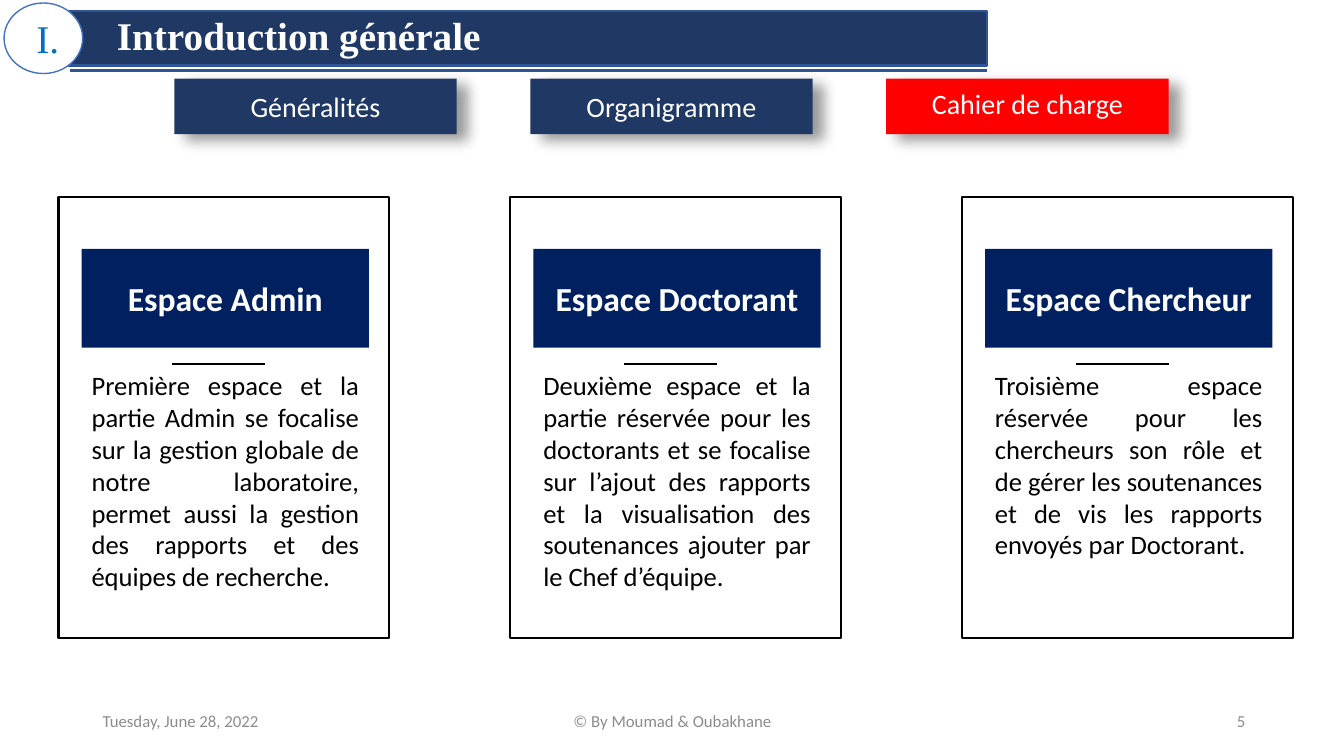
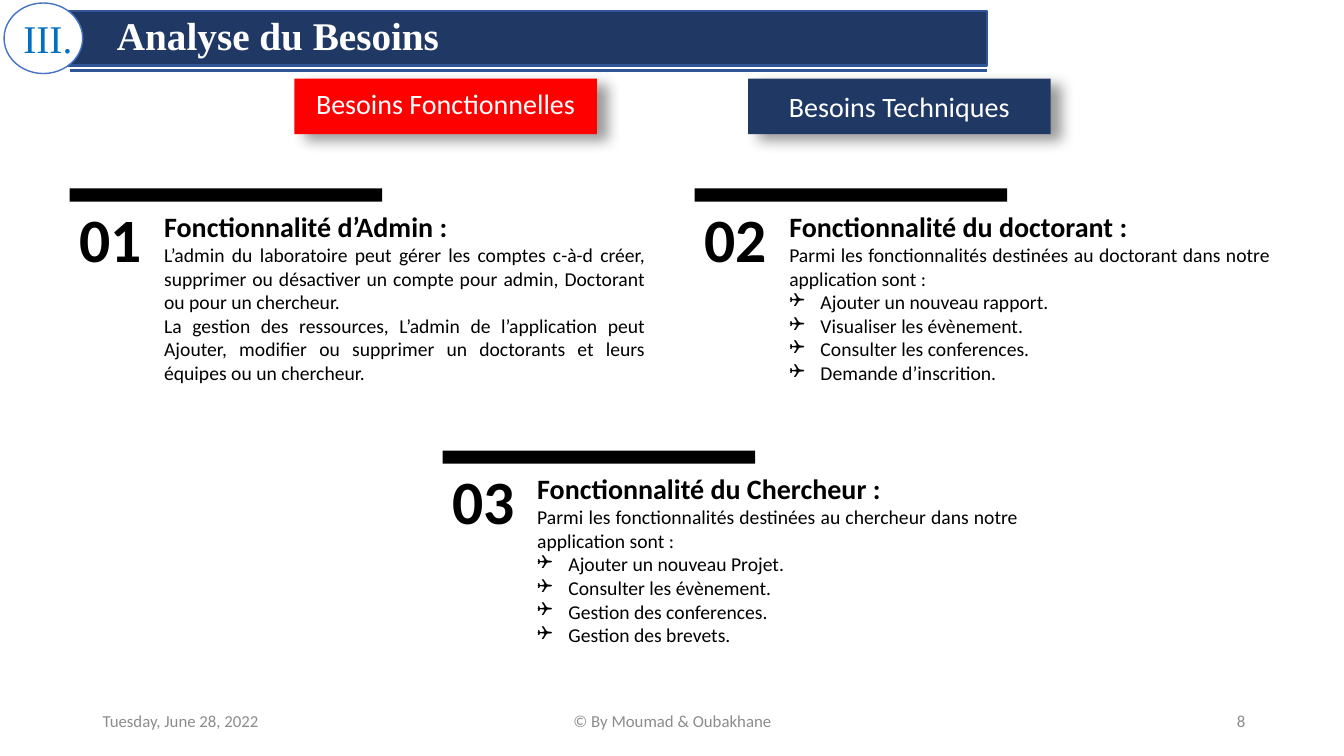
from lxml.etree import SubElement
from pptx import Presentation
from pptx.dml.color import RGBColor
from pptx.enum.shapes import MSO_CONNECTOR as Connector, MSO_SHAPE as Shape
from pptx.enum.text import MSO_ANCHOR as Anchor, MSO_AUTO_SIZE as AutoSize, PP_ALIGN as Align
from pptx.oxml.ns import qn
from pptx.util import Pt

PX = 9144  # 100 px to the inch
SANS, SERIF = "Calibri", "Times New Roman"
WHITE, BLACK, GREY = "FFFFFF", "000000", "8C8C8C"
NAVY, DEEP_NAVY, RED = "203864", "002060", "FF0000"
EDGE, RING, NUMERAL = "2F5597", "4472C4", "0070C0"
DATE, CREDIT = "Tuesday, June 28, 2022", "© By Moumad & Oubakhane"
TAB_TOP, TAB_HEIGHT = 78, 55
CARD_LEFT, CARD_TOP, CARD_PITCH = 58, 195, 448

CARDS = [
    ("Espace Admin",
     "Première espace et la partie Admin se focalise sur la gestion globale de notre "
     "laboratoire, permet aussi la gestion des rapports et des équipes de recherche."),
    ("Espace Doctorant",
     "Deuxième espace et la partie réservée pour les doctorants et se focalise sur l’ajout "
     "des rapports et la visualisation des soutenances ajouter par le Chef d’équipe."),
    ("Espace Chercheur",
     "Troisième espace réservée pour les chercheurs son rôle et de gérer les soutenances "
     "et de vis les rapports envoyés par Doctorant."),
]

# left, top, number, heading, paragraphs, bullets
FEATURES = [
    (69, 187, "01", "Fonctionnalité d’Admin :",
     ["L’admin du laboratoire peut gérer les comptes c-à-d créer, supprimer ou désactiver "
      "un compte pour admin, Doctorant ou pour un chercheur.",
      "La gestion des ressources, L’admin de l’application peut Ajouter, modifier ou "
      "supprimer un doctorants et leurs équipes ou un chercheur."], []),
    (689, 187, "02", "Fonctionnalité du doctorant :",
     ["Parmi les fonctionnalités destinées au doctorant dans notre application sont :"],
     ["Ajouter un nouveau rapport.", "Visualiser les évènement.",
      "Consulter les conferences.", "Demande d’inscrition."]),
    (439, 447, "03", "Fonctionnalité du Chercheur :",
     ["Parmi les fonctionnalités destinées au chercheur dans notre application sont :"],
     ["Ajouter un nouveau Projet.", "Consulter les évènement.",
      "Gestion des conferences.", "Gestion des brevets."]),
]


def px(*lengths):
    return [length * PX for length in lengths]


def rgb(color):
    return RGBColor.from_string(color)


def style_para(para, size, color, bold=False, align=Align.LEFT, font=SANS, spacing=None):
    para.alignment = align
    para.font.name, para.font.size, para.font.bold = font, Pt(size), bold
    para.font.color.rgb = rgb(color)
    if spacing:
        para.line_spacing = spacing


def write(shape, text, size, color, anchor=Anchor.MIDDLE, wrap=True, **style):
    """Fill a shape with one formatted paragraph."""
    frame = shape.text_frame
    frame.word_wrap, frame.vertical_anchor = wrap, anchor
    frame.text = text
    style_para(frame.paragraphs[0], size, color, **style)


def paint(shape, fill=None, edge=None, width=1.5):
    if fill:
        shape.fill.solid()
        shape.fill.fore_color.rgb = rgb(fill)
    else:
        shape.fill.background()
    if edge:
        shape.line.color.rgb = rgb(edge)
        shape.line.width = Pt(width)
    else:
        shape.line.fill.background()


def add_shape(page, bounds, kind=Shape.RECTANGLE, **look):
    shape = page.shapes.add_shape(kind, *px(*bounds))
    shape.shadow.inherit = False
    paint(shape, **look)
    return shape


def add_text(page, bounds, text, size, color, **style):
    box = page.shapes.add_textbox(*px(*bounds))
    write(box, text, size, color, **style)
    return box


def add_rule(page, left, top, width, color, weight):
    rule = page.shapes.add_connector(
        Connector.STRAIGHT, *px(left, top, left + width, top))
    rule.line.color.rgb = rgb(color)
    rule.line.width = Pt(weight)
    SubElement(rule._element.spPr, qn("a:effectLst"))


def cast_shadow(shape):
    effects = shape._element.spPr.find(qn("a:effectLst"))
    shadow = SubElement(effects, qn("a:outerShdw"), blurRad=str(Pt(10)), dist=str(Pt(9)),
                        dir=str(30 * 60000), algn="tl", rotWithShape="0")
    tint = SubElement(shadow, qn("a:srgbClr"), val=BLACK)
    SubElement(tint, qn("a:alpha"), val="40000")


def add_bullet(para):
    props = para._p.get_or_add_pPr()
    props.set("marL", str(31 * PX))
    props.set("indent", str(-31 * PX))
    SubElement(props, qn("a:buFont"), typeface="Wingdings")
    SubElement(props, qn("a:buChar"), char="❑")
    # the schema wants default run properties after the bullet
    props.append(props.find(qn("a:defRPr")))


def add_page(deck, numeral, title, number):
    """Add a slide with the title band, its numeral and the footer."""
    page = deck.slides.add_slide(deck.slide_layouts[5])
    band = page.shapes.title
    band.left, band.top, band.width, band.height = px(58, 11, 921, 54)
    paint(band, NAVY, EDGE)
    write(band, title, 28, WHITE, bold=True, font=SERIF, spacing=0.9)
    band.text_frame.auto_size = AutoSize.NONE
    band.text_frame.margin_left = 58 * PX
    add_rule(page, 69, 70, 910, EDGE, 2.25)

    disc = add_shape(page, (4, 3, 78, 70), Shape.OVAL, fill=WHITE, edge=RING, width=1)
    write(disc, numeral, 28, NUMERAL, wrap=False, align=Align.CENTER, font=SERIF)
    frame = disc.text_frame
    frame.margin_left, frame.margin_right = px(9, 0)
    frame.margin_top = frame.margin_bottom = 0

    for left, width, text, align in ((92, 300, DATE, Align.LEFT),
                                     (442, 450, CREDIT, Align.CENTER),
                                     (945, 300, number, Align.RIGHT)):
        add_text(page, (left, 695, width, 40), text, 12, GREY, align=align)
    return page


def add_tabs(page, left, width, pitch, labels, active):
    for index, label in enumerate(labels):
        current = label == active
        tab = add_shape(page, (left + index * pitch, TAB_TOP, width, TAB_HEIGHT),
                        fill=RED if current else NAVY)
        cast_shadow(tab)
        write(tab, label, 20, WHITE, align=Align.CENTER, spacing=0.8 if current else None)


def add_card(page, left, top, heading, text):
    add_shape(page, (left, top, 328, 438), edge=BLACK)
    banner = add_shape(page, (left + 23, top + 52, 285, 98), fill=DEEP_NAVY)
    write(banner, heading, 24, WHITE, wrap=False, bold=True, align=Align.CENTER)
    add_text(page, (left + 23, top + 166, 285, 252), text, 19, BLACK,
             anchor=Anchor.TOP, align=Align.JUSTIFY)
    add_rule(page, left + 113, top + 166, 92, BLACK, 1.5)


def add_feature(page, left, top, number, heading, paragraphs, bullets):
    add_shape(page, (left, top, 310, 13), fill=BLACK)
    add_text(page, (left, top + 7, 83, 84), number, 44, BLACK,
             anchor=Anchor.TOP, wrap=False, bold=True)
    box = add_text(page, (left + 84, top + 16, 497, 185), heading, 20, BLACK,
                   anchor=Anchor.TOP, bold=True, align=Align.JUSTIFY)
    for index, text in enumerate(paragraphs + bullets):
        para = box.text_frame.add_paragraph()
        para.text = text
        style_para(para, 14, BLACK, align=Align.JUSTIFY)
        if index >= len(paragraphs):
            add_bullet(para)


def main():
    deck = Presentation()
    deck.slide_width, deck.slide_height = px(1333, 750)

    page = add_page(deck, "I.", "Introduction générale", "5")
    add_tabs(page, 173, 280, 353, ["Généralités", "Organigramme", "Cahier de charge"],
             active="Cahier de charge")
    for index, card in enumerate(CARDS):
        add_card(page, CARD_LEFT + index * CARD_PITCH, CARD_TOP, *card)

    page = add_page(deck, "III.", "Analyse du Besoins", "8")
    add_tabs(page, 292, 300, 450, ["Besoins Fonctionnelles", "Besoins Techniques"],
             active="Besoins Fonctionnelles")
    for feature in FEATURES:
        add_feature(page, *feature)

    deck.save("out.pptx")


if __name__ == "__main__":
    main()
